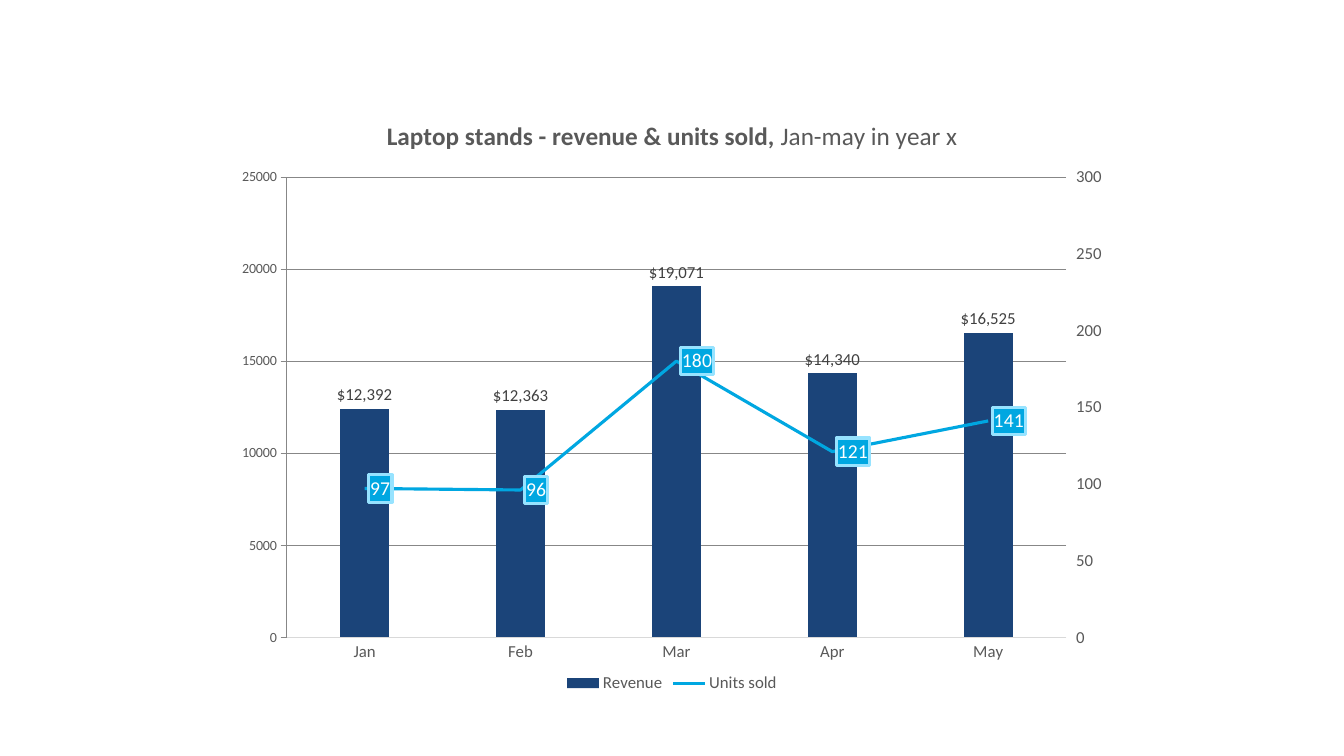
"""Build a slide with a combined column and line chart of laptop stand sales."""
import copy
import dataclasses
import typing

import pptx
import pptx.chart.axis
import pptx.chart.data
import pptx.dml.color
import pptx.enum.chart
import pptx.oxml
import pptx.oxml.ns
import pptx.util

Pt = pptx.util.Pt
RGBColor = pptx.dml.color.RGBColor
qn = pptx.oxml.ns.qn
TICK = pptx.enum.chart.XL_TICK_MARK
LABEL = pptx.enum.chart.XL_LABEL_POSITION

NAVY = RGBColor(0x1B, 0x44, 0x79)
CYAN = RGBColor(0x00, 0xA7, 0xE1)
PALE_CYAN = RGBColor(0x97, 0xE3, 0xFF)
GRAY = RGBColor(0x59, 0x59, 0x59)
DARK_GRAY = RGBColor(0x40, 0x40, 0x40)
LIGHT_GRAY = RGBColor(0xD9, 0xD9, 0xD9)
WHITE = RGBColor(0xFF, 0xFF, 0xFF)

MONTHS = ("Jan", "Feb", "Mar", "Apr", "May")
TITLE = (("Laptop stands - revenue & units sold, ", True), ("Jan-may in year x", False))
PLOT_AREA = {"x": 0.07, "y": 0.13, "w": 0.87, "h": 0.77}
NS = ('xmlns:c="http://schemas.openxmlformats.org/drawingml/2006/chart" '
      'xmlns:a="http://schemas.openxmlformats.org/drawingml/2006/main"')


@dataclasses.dataclass(frozen=True)
class Measure:
    name: str
    values: tuple[int, ...]
    label_size: int
    label_color: RGBColor
    label_format: dict[str, typing.Any]


REVENUE = Measure("Revenue", (12392, 12363, 19071, 14340, 16525), 12, DARK_GRAY,
                  {"position": LABEL.OUTSIDE_END, "number_format": '"$"#,##0',
                   "number_format_is_linked": False})
UNITS = Measure("Units sold", (97, 96, 180, 121, 141), 14, WHITE,
                {"position": LABEL.RIGHT})


def set_format(target: typing.Any, values: dict[str, typing.Any]) -> None:
    for name, value in values.items():
        setattr(target, name, value)


def set_font(font: typing.Any, size: int, color: RGBColor, bold: bool = False) -> None:
    set_format(font, {"name": "Calibri", "size": Pt(size), "bold": bold})
    font.color.rgb = color


def set_line(line: typing.Any, color: RGBColor, width: float) -> None:
    line.color.rgb = color
    line.width = Pt(width)


def style_value_axis(axis: typing.Any, values: dict[str, typing.Any]) -> None:
    set_format(axis, values)
    set_font(axis.tick_labels.font, 12, GRAY)
    axis.format.line.fill.background()


def label_series(series: typing.Any, measure: Measure) -> None:
    labels = series.data_labels
    set_format(labels, {"show_value": True, **measure.label_format})
    set_font(labels.font, measure.label_size, measure.label_color)


def split_to_second_axis(chart: typing.Any) -> typing.Any:
    area = chart._chartSpace.chart.plotArea
    bars = area.find(qn("c:barChart"))
    cat_ax, val_ax = area.find(qn("c:catAx")), area.find(qn("c:valAx"))
    ser = bars.findall(qn("c:ser"))[1]
    for invert in ser.findall(qn("c:invertIfNegative")):
        ser.remove(invert)
    line_plot = pptx.oxml.parse_xml(
        f'<c:lineChart {NS}><c:grouping val="standard"/><c:varyColors val="0"/>'
        '<c:marker val="1"/><c:axId val="301"/><c:axId val="302"/></c:lineChart>')
    line_plot.insert(2, ser)
    bars.addnext(line_plot)
    right_cat, right_val = copy.deepcopy(cat_ax), copy.deepcopy(val_ax)
    val_ax.addnext(right_cat)
    right_cat.addnext(right_val)
    changes = ((right_cat, {"axId": "301", "crossAx": "302", "delete": "1"}),
               (right_val, {"axId": "302", "crossAx": "301", "axPos": "r", "crosses": "max"}))
    for axis, values in changes:
        for tag, value in values.items():
            axis.find(qn(f"c:{tag}")).set("val", value)
    return pptx.chart.axis.ValueAxis(right_val)


def place_plot_area(chart: typing.Any) -> None:
    area = chart._chartSpace.chart.plotArea
    for layout in area.findall(qn("c:layout")):
        area.remove(layout)
    sizes = "".join(f'<c:{k} val="{v}"/>' for k, v in PLOT_AREA.items())
    area.insert(0, pptx.oxml.parse_xml(
        f'<c:layout {NS}><c:manualLayout><c:layoutTarget val="inner"/>'
        f'<c:xMode val="edge"/><c:yMode val="edge"/>{sizes}</c:manualLayout></c:layout>'))


def box_labels(series: typing.Any, fill: RGBColor, border: RGBColor) -> None:
    labels = series._element.find(qn("c:dLbls"))
    labels.find(qn("c:txPr")).addprevious(pptx.oxml.parse_xml(
        f'<c:spPr {NS}><a:solidFill><a:srgbClr val="{fill}"/></a:solidFill>'
        f'<a:ln w="{Pt(2.25)}"><a:solidFill><a:srgbClr val="{border}"/></a:solidFill>'
        '</a:ln></c:spPr>'))


def add_sales_chart(slide: typing.Any) -> None:
    data = pptx.chart.data.CategoryChartData()
    data.categories = MONTHS
    for measure in (REVENUE, UNITS):
        data.add_series(measure.name, measure.values)
    chart = slide.shapes.add_chart(pptx.enum.chart.XL_CHART_TYPE.COLUMN_CLUSTERED,
                                   Pt(160), Pt(71), Pt(640), Pt(427), data).chart
    set_font(chart.font, 10, GRAY)
    right_axis = split_to_second_axis(chart)
    place_plot_area(chart)

    p = chart.chart_title.text_frame.paragraphs[0]
    for text, bold in TITLE:
        r = p.add_run()
        r.text = text
        set_font(r.font, 18, GRAY, bold)
    chart.has_legend = True
    set_format(chart.legend, {"position": pptx.enum.chart.XL_LEGEND_POSITION.BOTTOM,
                              "include_in_layout": False})
    set_font(chart.legend.font, 12, GRAY)

    months = chart.category_axis
    months.major_tick_mark = TICK.NONE
    set_font(months.tick_labels.font, 12, GRAY)
    set_line(months.format.line, LIGHT_GRAY, 0.75)
    style_value_axis(chart.value_axis, {
        "minimum_scale": -2000, "maximum_scale": 23000, "major_unit": 5000,
        "major_tick_mark": TICK.NONE, "has_major_gridlines": True})
    set_line(chart.value_axis.major_gridlines.format.line, LIGHT_GRAY, 0.75)
    style_value_axis(right_axis, {
        "minimum_scale": 0, "maximum_scale": 300, "major_unit": 50,
        "major_tick_mark": TICK.OUTSIDE, "has_major_gridlines": False})

    bars, line = chart.plots
    set_format(bars, {"gap_width": 219, "vary_by_categories": False})
    revenue, units = bars.series[0], line.series[0]
    revenue.format.fill.solid()
    revenue.format.fill.fore_color.rgb = NAVY
    set_line(units.format.line, CYAN, 2.25)
    units.smooth = False
    units.marker.style = pptx.enum.chart.XL_MARKER_STYLE.NONE
    label_series(revenue, REVENUE)
    label_series(units, UNITS)
    box_labels(units, CYAN, PALE_CYAN)


def main() -> None:
    prs = pptx.Presentation()
    set_format(prs, {"slide_width": Pt(960), "slide_height": Pt(540)})
    add_sales_chart(prs.slides.add_slide(prs.slide_layouts[6]))
    prs.save("out.pptx")


main()
